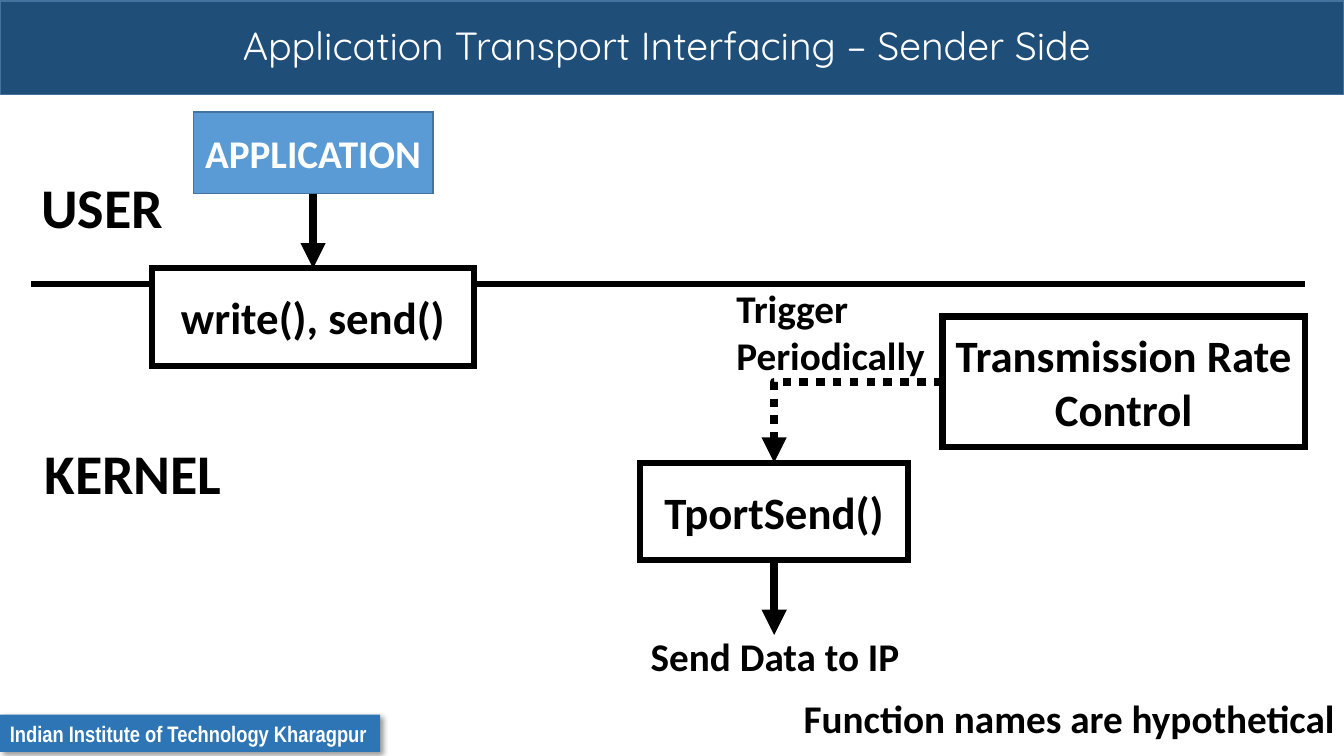
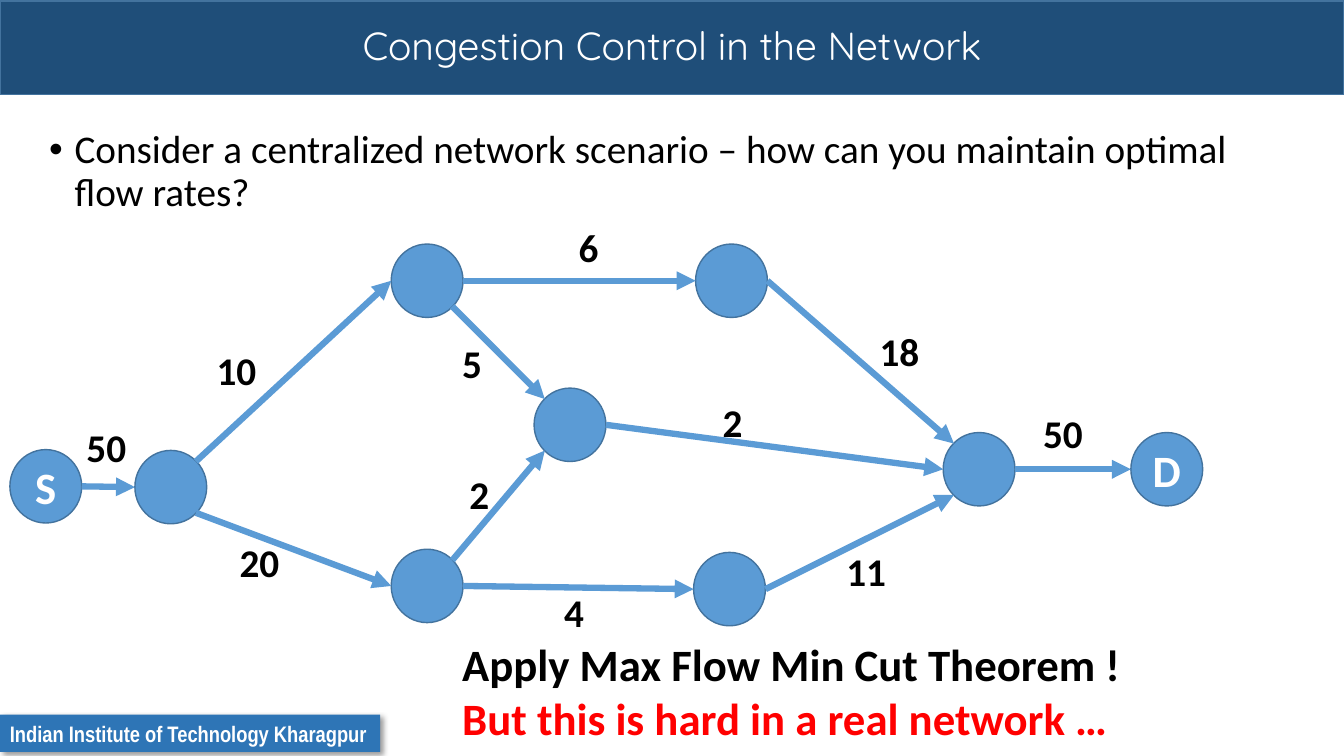
from collections import namedtuple

from lxml.etree import SubElement
from pptx import Presentation
from pptx.dml.color import RGBColor
from pptx.enum.dml import MSO_LINE
from pptx.enum.shapes import MSO_CONNECTOR, MSO_SHAPE
from pptx.enum.text import MSO_ANCHOR, PP_ALIGN
from pptx.oxml.ns import qn
from pptx.util import Cm, Pt

RECTANGLE = MSO_SHAPE.RECTANGLE
OVAL = MSO_SHAPE.OVAL
STRAIGHT = MSO_CONNECTOR.STRAIGHT
ELBOW = MSO_CONNECTOR.ELBOW
DOTTED = MSO_LINE.ROUND_DOT
MIDDLE = MSO_ANCHOR.MIDDLE
TOP = MSO_ANCHOR.TOP
LEFT = PP_ALIGN.LEFT
CENTER = PP_ALIGN.CENTER
RIGHT = PP_ALIGN.RIGHT

Box = namedtuple("Box", "left top width height")
Anchor = namedtuple("Anchor", "x y shape index", defaults=(None, None))

SLIDE = Box(0, 0, 33.87, 19.05)
BAND = Box(0, 0.03, 33.87, 2.36)
FOOTER = Box(0, 18.01, 9.58, 0.94)
CONTENT = Box(0, 2.4, 33.87, 16.65)

COLORS = {
    "band": "1F4E79",
    "footer": "2E75B6",
    "accent": "5B9BD5",
    "outline": "43739E",
    "white": "FFFFFF",
    "black": "000000",
    "alert": "FF0000",
}


def text_style(size, color="black", bold=True, name="Calibri", align=LEFT, anchor=TOP, wrap=True, spacing=1.0):
    return {
        "font": {"name": name, "size": Pt(size), "bold": bold},
        "paragraph": {"alignment": align, "line_spacing": spacing},
        "frame": {"word_wrap": wrap, "vertical_anchor": anchor},
        "color": color,
    }


STYLES = {
    "title": text_style(28, "white", False, "Quicksand", CENTER, MIDDLE, spacing=0.9),
    "footer": text_style(16, "white", name="Arial Narrow", wrap=False),
    "bullet": text_style(28, bold=False, spacing=0.9),
    "space": text_style(40, align=CENTER),
    "label": text_style(28),
    "caption": text_style(28, align=CENTER),
    "remark": text_style(28, align=RIGHT),
    "closing": text_style(32),
    "application": text_style(28, "white", align=CENTER, anchor=MIDDLE),
    "function": text_style(32, align=CENTER, anchor=MIDDLE),
    "node": text_style(32, "white", align=CENTER, anchor=MIDDLE),
}

RECTANGLE_SITES = {
    "top": (0, 0.5, 0),
    "left": (1, 0, 0.5),
    "bottom": (2, 0.5, 1),
    "right": (3, 1, 0.5),
}
OVAL_SITES = {
    "upper left": (1, 0.15, 0.15),
    "left": (2, 0, 0.5),
    "lower left": (3, 0.15, 0.85),
    "lower right": (5, 0.85, 0.85),
    "right": (6, 1, 0.5),
    "upper right": (7, 0.85, 0.15),
}

NODE_WIDTH, NODE_HEIGHT = 1.81, 1.85
NODES = {
    "source": (0.25, 8.93, "S"),
    "entry": (3.4, 8.95, ""),
    "upper": (9.86, 3.75, ""),
    "lower": (9.86, 11.44, ""),
    "middle": (13.46, 7.38, ""),
    "upper far": (17.53, 3.75, ""),
    "lower far": (17.48, 11.52, ""),
    "exit": (23.77, 8.5, ""),
    "destination": (28.5, 8.5, "D"),
}
EDGES = [
    ("source", "right", "entry", "left", "50", 1.93, 8.14),
    ("entry", "upper right", "upper", "left", "10", 5.21, 6.21),
    ("entry", "lower right", "lower", "left", "20", 5.79, 11.04),
    ("upper", "right", "upper far", "left", "6", 14.33, 3.11),
    ("upper", "lower right", "middle", "upper left", "5", 11.4, 6.03),
    ("lower", "upper right", "middle", "lower left", "2", 11.58, 9.33),
    ("lower", "right", "lower far", "left", "4", 13.97, 12.31),
    ("middle", "right", "exit", "left", "2", 17.96, 7.51),
    ("upper far", "right", "exit", "upper left", "18", 21.92, 5.73),
    ("lower far", "right", "exit", "lower left", "11", 21.08, 11.27),
    ("exit", "right", "destination", "left", "50", 26.04, 7.79),
]


def rgb(color):
    return RGBColor.from_string(COLORS[color])


def apply_format(target, values):
    for attribute, value in values.items():
        setattr(target, attribute, value)


def within(region, left, top, width, height):
    return Box(region.left + left, region.top + top, width, height)


def write_lines(shape, lines, style_name):
    style = STYLES[style_name]
    frame = shape.text_frame
    apply_format(frame, style["frame"])
    for position, (text, color) in enumerate(lines):
        paragraph = frame.add_paragraph() if position else frame.paragraphs[0]
        apply_format(paragraph, style["paragraph"])
        run = paragraph.add_run()
        run.text = text
        apply_format(run.font, style["font"])
        run.font.color.rgb = rgb(color or style["color"])


def add_text(slide, box, text, style_name):
    shape = slide.shapes.add_textbox(*map(Cm, box))
    write_lines(shape, [(text, None)], style_name)
    return shape


def add_block(slide, box, fill, line, weight, text="", style_name="node", kind=RECTANGLE):
    shape = slide.shapes.add_shape(kind, *map(Cm, box))
    shape.shadow.inherit = False
    shape.fill.solid()
    shape.fill.fore_color.rgb = rgb(fill)
    if line:
        shape.line.color.rgb = rgb(line)
        shape.line.width = Pt(weight)
        SubElement(shape.line._get_or_add_ln(), qn("a:miter"), lim="800000")
    else:
        shape.line.fill.background()
    if text:
        write_lines(shape, [(text, None)], style_name)
    return shape


def point(region, x, y):
    return Anchor(Cm(region.left + x), Cm(region.top + y))


def site(shape, name, sites=RECTANGLE_SITES):
    index, across, down = sites[name]
    x = int(shape.left + shape.width * across)
    y = int(shape.top + shape.height * down)
    return Anchor(x, y, shape, index)


def connect(slide, begin, end, color, weight, kind=STRAIGHT, dash=None, arrow=True):
    connector = slide.shapes.add_connector(kind, begin.x, begin.y, end.x, end.y)
    connector.line.color.rgb = rgb(color)
    connector.line.width = Pt(weight)
    if dash:
        connector.line.dash_style = dash
    if arrow:
        SubElement(connector.line._get_or_add_ln(), qn("a:tailEnd"), type="triangle")
    element = connector._element
    SubElement(element.spPr, qn("a:effectLst"))
    if kind == ELBOW:
        element.spPr.find(qn("a:prstGeom")).set("prst", "bentConnector2")
    links = element.nvCxnSpPr.cNvCxnSpPr
    for tag, anchor in (("a:stCxn", begin), ("a:endCxn", end)):
        if anchor.shape is not None:
            SubElement(links, qn(tag), id=str(anchor.shape.shape_id), idx=str(anchor.index))


def add_footer(slide, box):
    footer = add_block(slide, box, "footer", None, 0, "Indian Institute of Technology Kharagpur", "footer")
    effects = footer._element.spPr.find(qn("a:effectLst"))
    shadow = SubElement(
        effects, qn("a:outerShdw"), blurRad=str(Pt(4)), dist=str(Pt(3)), dir="2700000", algn="tl", rotWithShape="0"
    )
    shade = SubElement(shadow, qn("a:srgbClr"), val=COLORS["black"])
    SubElement(shade, qn("a:alpha"), val="40000")


def add_base_slide(presentation, title):
    slide = presentation.slides.add_slide(presentation.slide_layouts[6])
    add_block(slide, BAND, "band", "outline", 1)
    add_footer(slide, FOOTER)
    add_text(slide, BAND, title, "title")
    return slide


def add_bullet(slide, box, text):
    shape = add_text(slide, box, text, "bullet")
    properties = shape.text_frame.paragraphs[0]._p.get_or_add_pPr()
    properties.set("marL", str(Cm(0.64)))
    properties.set("indent", str(-Cm(0.64)))
    SubElement(properties, qn("a:buFont"), typeface="Arial")
    SubElement(properties, qn("a:buChar"), char="•")


def add_sender_diagram(slide, region):
    connect(slide, point(region, 0.79, 4.76), point(region, 32.89, 4.76), "black", 4.5, arrow=False)
    application = add_block(
        slide, within(region, 4.87, 0.42, 6.04, 2.06), "accent", "outline", 1, "APPLICATION", "application"
    )
    functions = [
        ("write(), send()", 3.84, 4.36, 8.1, 2.46),
        ("TportSend()", 16.13, 9.26, 6.76, 2.46),
        ("Transmission Rate Control", 23.75, 5.58, 9.14, 3.28),
    ]
    write_call, transport, rate_control = [
        add_block(slide, within(region, *place), "white", "black", 4.5, text, "function")
        for text, *place in functions
    ]
    connect(slide, site(application, "bottom"), site(write_call, "top"), "black", 6)
    bottom = site(transport, "bottom")
    connect(slide, bottom, Anchor(bottom.x, Cm(region.top + 13.6)), "black", 6)
    connect(slide, site(rate_control, "left"), site(transport, "top"), "black", 6, ELBOW, DOTTED)
    for text, style_name, *place in [
        ("USER", "space", 0.69, 1.82, 3.78, 1.96),
        ("KERNEL", "space", 0.69, 8.52, 5.33, 1.96),
        ("Trigger Periodically", "label", 18.31, 4.64, 6.93, 2.64),
        ("Send Data to IP", "caption", 14.96, 13.42, 9.14, 1.45),
        ("Function names are hypothetical", "remark", 14.96, 14.97, 18.92, 1.45),
    ]:
        add_text(slide, within(region, *place), text, style_name)


def add_flow_network(slide, region):
    nodes = {
        name: add_block(
            slide, within(region, left, top, NODE_WIDTH, NODE_HEIGHT), "accent", "outline", 1, text, kind=OVAL
        )
        for name, (left, top, text) in NODES.items()
    }
    for start, start_site, finish, finish_site, rate, left, top in EDGES:
        begin = site(nodes[start], start_site, OVAL_SITES)
        end = site(nodes[finish], finish_site, OVAL_SITES)
        connect(slide, begin, end, "accent", 4.5)
        add_text(slide, within(region, left, top, 1.68, 1.45), rate, "label")


def add_closing(slide, box):
    shape = slide.shapes.add_textbox(*map(Cm, box))
    lines = [("Apply Max Flow Min Cut Theorem !", None), ("But this is hard in a real network …", "alert")]
    write_lines(shape, lines, "closing")


def main():
    presentation = Presentation()
    presentation.slide_width = Cm(SLIDE.width)
    presentation.slide_height = Cm(SLIDE.height)

    sender = add_base_slide(presentation, "Application Transport Interfacing – Sender Side ")
    add_sender_diagram(sender, CONTENT)

    congestion = add_base_slide(presentation, "Congestion Control in the Network")
    add_bullet(
        congestion,
        within(CONTENT, 0.99, 0.75, 32.08, 14.86),
        "Consider a centralized network scenario – how can you maintain optimal flow rates?",
    )
    add_flow_network(congestion, CONTENT)
    add_closing(congestion, within(CONTENT, 11.4, 13.53, 17.27, 3))

    presentation.save("out.pptx")


if __name__ == "__main__":
    main()
